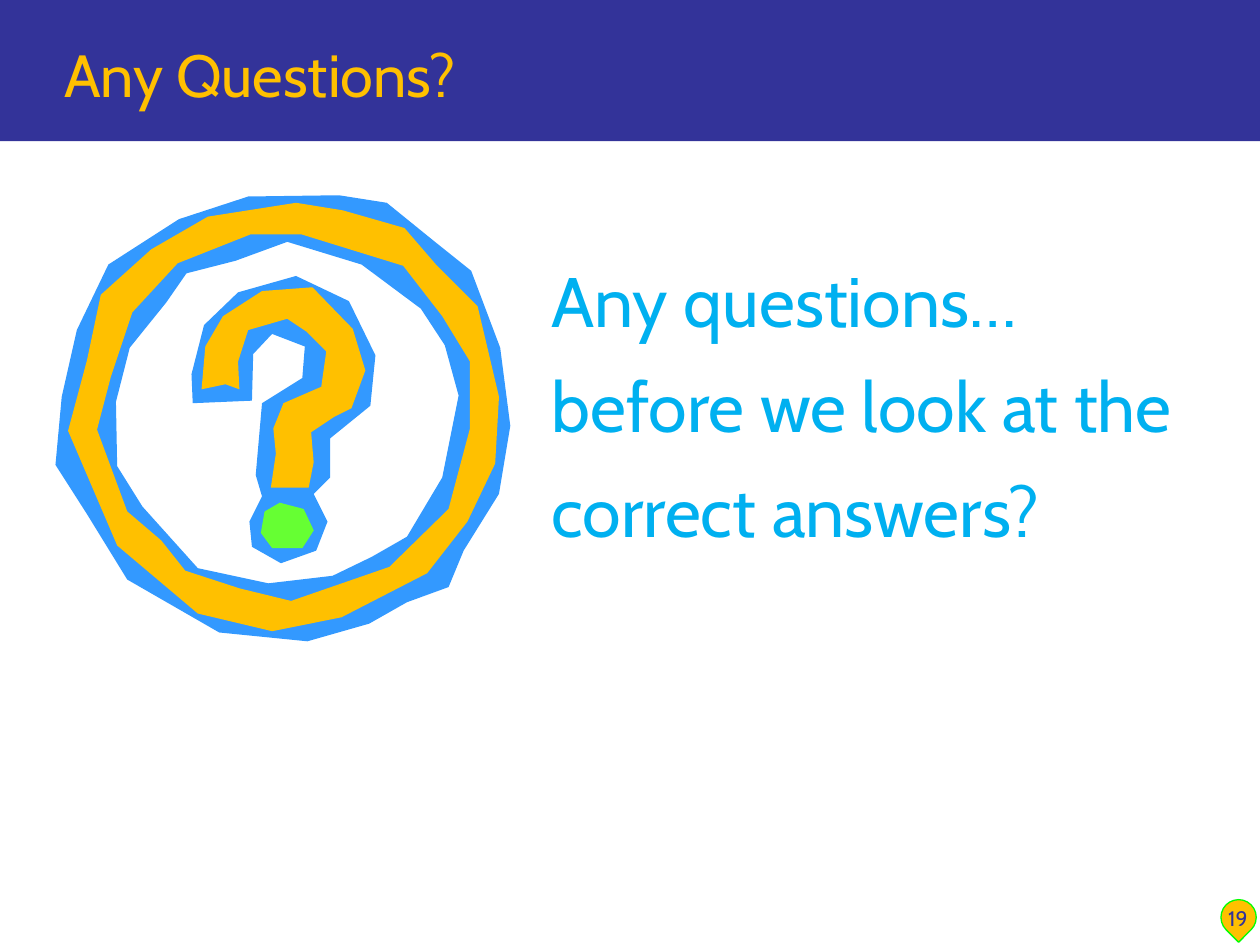
from pptx import Presentation
from pptx.dml.color import RGBColor
from pptx.enum.shapes import MSO_SHAPE
from pptx.enum.text import MSO_ANCHOR, MSO_AUTO_SIZE, PP_ALIGN
from pptx.util import Inches, Pt

NAVY, GOLD, BLUE = "333399", "FFC000", "3399FF"
LIME, GREEN, SKY = "66FF33", "00FF00", "00B0F0"

MARK_EDGE = [
    (2.01, 2.81), (2.16, 2.65), (2.42, 2.75), (2.4, 3), (2.08, 3.2),
    (2.03, 3.77), (2.08, 3.94), (1.98, 4.14), (2, 4.34), (2.23, 4.47),
    (2.51, 4.37), (2.6, 4.14), (2.49, 3.92), (2.62, 3.79), (2.62, 3.48),
    (2.94, 3.22), (2.98, 2.82), (2.77, 2.39), (2.35, 2.19), (1.89, 2.32),
    (1.62, 2.58), (1.52, 2.97), (1.53, 3.2), (2, 3.18),
]
MARK_HOOK = [
    (1.6, 3.09), (1.79, 3.05), (1.9, 3.09), (1.89, 2.87), (1.97, 2.62),
    (2.28, 2.53), (2.43, 2.63), (2.59, 2.79), (2.55, 3.07), (2.25, 3.2),
    (2.17, 3.4), (2.19, 3.6), (2.15, 3.87), (2.45, 3.87), (2.49, 3.67),
    (2.47, 3.43), (2.65, 3.31), (2.79, 3.24), (2.9, 2.94), (2.8, 2.61),
    (2.48, 2.28), (2.08, 2.31), (1.77, 2.51), (1.63, 2.75),
]
MARK_DOT = [
    (2.22, 3.99), (2.1, 4.06), (2.07, 4.23), (2.16, 4.35),
    (2.4, 4.35), (2.49, 4.21), (2.41, 4.04),
]
EDGE_OUTER = [
    (2.69, 1.55), (1.97, 1.56), (1.42, 1.74), (0.86, 2.1), (0.61, 2.62),
    (0.49, 3.15), (0.44, 3.69), (0.69, 4.08), (1.01, 4.6), (1.74, 5.02),
    (2.44, 5.09), (2.93, 4.95), (3.23, 4.78), (3.56, 4.66), (3.68, 4.37),
    (3.96, 3.92), (4.05, 3.38), (3.97, 2.76), (3.74, 2.15), (3.44, 1.91),
    (3.07, 1.61),
]
EDGE_INNER = [
    (2.87, 2.1), (3.34, 2.45), (3.53, 2.74), (3.64, 3.14), (3.51, 3.79),
    (3.23, 4.26), (2.95, 4.42), (2.64, 4.57), (2.13, 4.63), (1.57, 4.51),
    (1.13, 4.02), (0.93, 3.7), (0.92, 3.19), (1.03, 2.76), (1.32, 2.4),
    (1.48, 2.17), (1.87, 2.07), (2.28, 1.92),
]
RING_INNER = [
    (2.39, 1.86), (1.99, 1.86), (1.41, 2.09), (1.05, 2.48), (0.88, 2.99),
    (0.77, 3.41), (1.01, 4.06), (1.28, 4.29), (1.47, 4.53), (1.9, 4.67),
    (2.31, 4.77), (3.09, 4.5), (3.56, 4.04), (3.73, 3.4), (3.73, 2.87),
    (3.51, 2.51), (3.2, 2.11),
]
RING_OUTER = [
    (2.35, 1.61), (2.72, 1.67), (3.21, 1.81), (3.46, 2.1), (3.79, 2.43),
    (3.96, 3.15), (3.93, 3.68), (3.71, 4.14), (3.39, 4.55), (2.71, 4.9),
    (2.16, 5.01), (1.57, 4.87), (0.93, 4.33), (0.54, 3.42), (0.69, 2.86),
    (0.8, 2.34), (1.2, 1.98), (1.65, 1.72),
]


def color(value):
    return RGBColor.from_string(value)


class SlideBuilder:
    """Holds the text style and the current slide."""

    font_name = "Cabin"
    frame_format = {
        "word_wrap": True,
        "auto_size": MSO_AUTO_SIZE.NONE,
        "vertical_anchor": MSO_ANCHOR.BOTTOM,
    }

    def __init__(self, presentation):
        self.slide = presentation.slides.add_slide(presentation.slide_layouts[5])

    def paint(self, shape, fill, line=None):
        shape.shadow.inherit = False
        shape.fill.solid()
        shape.fill.fore_color.rgb = color(fill)
        if line:
            shape.line.color.rgb = color(line)
            shape.line.width = Pt(0.75)
        else:
            shape.line.fill.background()

    def shape(self, kind, left, top, width, height, fill, line=None, rotation=0):
        shape = self.slide.shapes.add_shape(
            kind, Inches(left), Inches(top), Inches(width), Inches(height)
        )
        shape.rotation = rotation
        self.paint(shape, fill, line)
        return shape

    def fill_text(self, frame, lines, size, fill, align=PP_ALIGN.LEFT, gap=0):
        for name, value in self.frame_format.items():
            setattr(frame, name, value)
        for index, line in enumerate(lines):
            paragraph = frame.paragraphs[0] if index == 0 else frame.add_paragraph()
            paragraph.text = line
            paragraph.alignment = align
            paragraph.space_before = Pt(gap if index else 0)
            font_format = {"name": self.font_name, "size": Pt(size), "bold": False}
            for name, value in font_format.items():
                setattr(paragraph.font, name, value)
            paragraph.font.color.rgb = color(fill)

    def title(self, text, left, top, width, height, size, fill):
        title = self.slide.shapes.title
        title.left, title.top = Inches(left), Inches(top)
        title.width, title.height = Inches(width), Inches(height)
        self.fill_text(title.text_frame, [text], size, fill)
        return title

    def text(self, lines, left, top, width, height, size, fill, **paragraph_format):
        box = self.slide.shapes.add_textbox(
            Inches(left), Inches(top), Inches(width), Inches(height)
        )
        self.fill_text(box.text_frame, lines, size, fill, **paragraph_format)

    def outlines(self, parts):
        group = self.slide.shapes.add_group_shape()
        for fill, contours in parts:
            builder = None
            for contour in contours:
                points = [(Inches(x), Inches(y)) for x, y in contour]
                if builder is None:
                    builder = group.shapes.build_freeform(*points[0])
                else:
                    builder.move_to(*points[0])
                builder.add_line_segments(points[1:], close=True)
            self.paint(builder.convert_to_shape(), fill)


def main():
    presentation = Presentation()
    presentation.slide_width, presentation.slide_height = Inches(10), Inches(7.5)
    builder = SlideBuilder(presentation)

    band = builder.shape(MSO_SHAPE.RECTANGLE, 0, 0, 10, 1.12, NAVY)
    builder.shape(MSO_SHAPE.TEAR, 9.69, 7.14, 0.28, 0.28, GOLD, GREEN, 134.9)
    builder.text(["19"], 9.54, 6.94, 0.57, 0.5, 12, NAVY, align=PP_ALIGN.CENTER)
    title = builder.title("Any Questions?", 0.41, 0.16, 9.35, 0.76, 34, GOLD)
    band.element.addnext(title.element)

    builder.outlines([
        (BLUE, [MARK_EDGE]),
        (GOLD, [MARK_HOOK]),
        (LIME, [MARK_DOT]),
        (BLUE, [EDGE_OUTER, EDGE_INNER]),
        (GOLD, [RING_INNER, RING_OUTER]),
    ])
    question = ["Any questions…", "before we look at the", "correct answers?"]
    builder.text(question, 4.28, 3.67, 5.74, 0.76, 40, SKY, gap=12)
    presentation.save("out.pptx")


if __name__ == "__main__":
    main()
